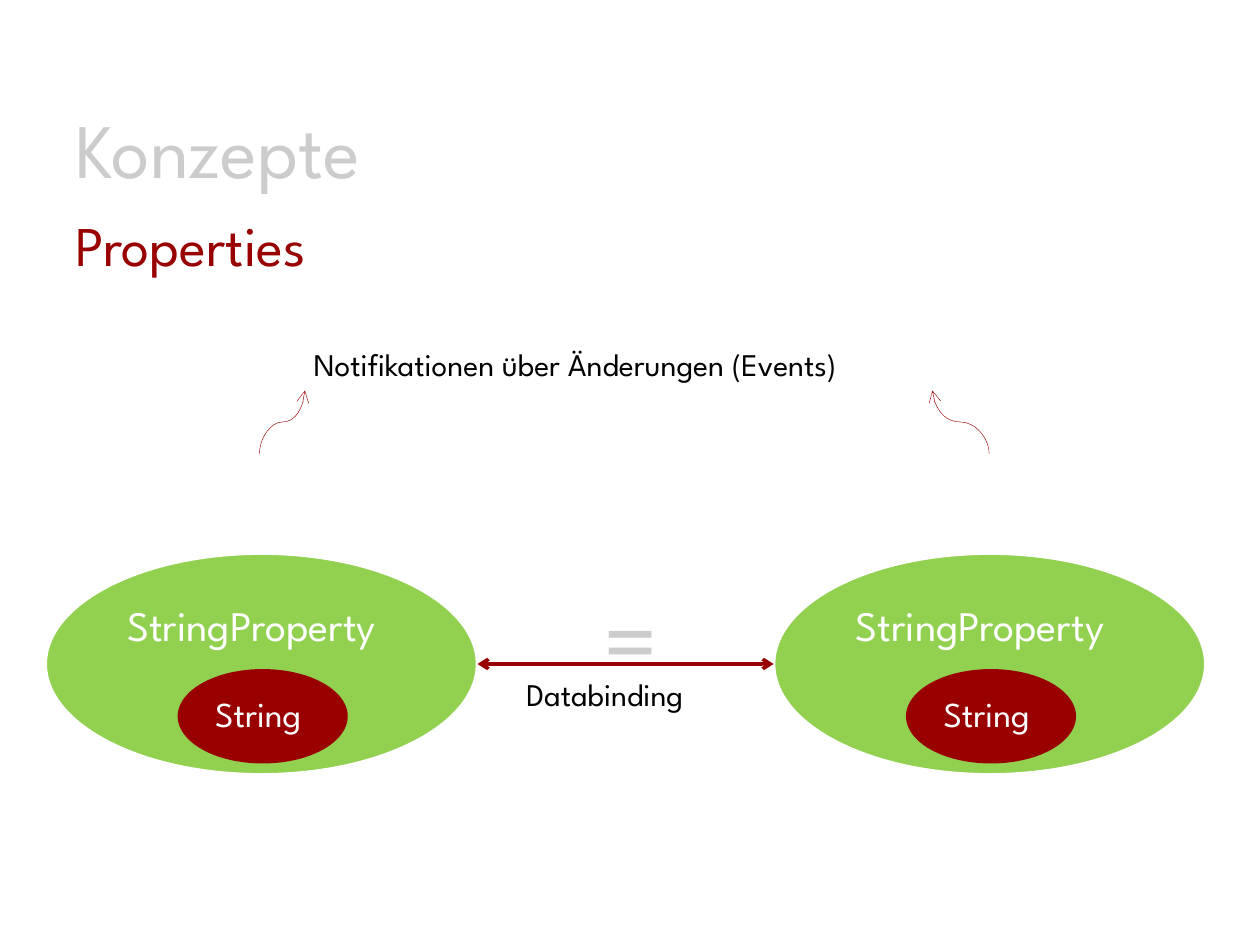
from dataclasses import dataclass

from lxml import etree
from pptx import Presentation
from pptx.dml.color import RGBColor
from pptx.enum.shapes import MSO_CONNECTOR, MSO_SHAPE
from pptx.enum.text import MSO_ANCHOR, MSO_AUTO_SIZE
from pptx.oxml.ns import qn
from pptx.util import Inches, Pt

OVAL = MSO_SHAPE.OVAL
STRAIGHT = MSO_CONNECTOR.STRAIGHT
CURVE = MSO_CONNECTOR.CURVE
TOP = MSO_ANCHOR.TOP
BOTTOM = MSO_ANCHOR.BOTTOM
FIT_SHAPE = MSO_AUTO_SIZE.SHAPE_TO_FIT_TEXT
NO_FIT = MSO_AUTO_SIZE.NONE


@dataclass(frozen=True)
class Theme:
    """Colours, fonts and type sizes of the slide."""

    red: str = "990000"
    green: str = "92D050"
    grey: str = "CCCCCC"
    white: str = "FFFFFF"
    black: str = "000000"
    font: str = "League Spartan"
    symbol_font: str = "Calibri"
    heading: int = 44
    subheading: int = 32
    property: int = 24
    value: int = 20
    label: int = 18
    symbol: int = 60


@dataclass(frozen=True)
class Box:
    """A rectangle in inches."""

    left: float
    top: float
    width: float
    height: float

    def lengths(self) -> tuple:
        """Return the four sides as slide lengths."""
        return tuple(Inches(side) for side in (self.left, self.top, self.width, self.height))


@dataclass(frozen=True)
class EventArrow:
    """A curved arrow that leaves and arrives vertically."""

    start: tuple[float, float]
    end: tuple[float, float]
    rotation: int


THEME = Theme()
PROPERTY_LEFTS = (0.36, 6.14)
PROPERTY_WIDTH = 3.43
BINDING_Y = 5.27
EVENT_ARROWS = (
    EventArrow((2.06, 3.6), (2.42, 3.1), 90),
    EventArrow((7.85, 3.6), (7.4, 3.1), 270),
)


def add_text(shapes, text: str, box: Box, *, size: int, color: str,
             font: str = THEME.font, wrap: bool = False, anchor=TOP) -> None:
    """Add a text box holding one formatted paragraph."""
    frame = shapes.add_textbox(*box.lengths()).text_frame
    frame.word_wrap = wrap
    frame.auto_size = NO_FIT if wrap else FIT_SHAPE
    frame.vertical_anchor = anchor
    paragraph = frame.paragraphs[0]
    run = paragraph.add_run()
    run.text = text
    run.font.name = font
    run.font.size = Pt(size)
    run.font.color.rgb = RGBColor.from_string(color)


def add_ellipse(shapes, box: Box, fill: str, outline: str | None = None) -> None:
    """Add a filled ellipse with an optional outline."""
    shape = shapes.add_shape(OVAL, *box.lengths())
    shape.shadow.inherit = False
    shape.fill.solid()
    shape.fill.fore_color.rgb = RGBColor.from_string(fill)
    if outline:
        shape.line.color.rgb = RGBColor.from_string(outline)
        shape.line.width = Pt(2)
    else:
        shape.line.fill.background()


def add_arrow(shapes, kind, start: tuple[float, float], end: tuple[float, float],
              width: float, ends: tuple[str, ...]):
    """Add a red connector with open arrowheads at the named ends."""
    points = [Inches(value) for value in (*start, *end)]
    connector = shapes.add_connector(kind, *points)
    connector.line.color.rgb = RGBColor.from_string(THEME.red)
    connector.line.width = Pt(width)
    line = connector.line._get_or_add_ln()
    for name in ends:
        etree.SubElement(line, qn(f"a:{name}"), type="arrow")
    etree.SubElement(connector._element.spPr, qn("a:effectLst"))
    return connector


def add_event_arrow(shapes, arrow: EventArrow) -> None:
    """Add a curved connector turned about its centre to run vertically."""
    (start_x, start_y), (end_x, end_y) = arrow.start, arrow.end
    center_x, center_y = (start_x + end_x) / 2, (start_y + end_y) / 2
    turn = 1 if arrow.rotation == 90 else -1
    offset_x, offset_y = turn * (start_y - center_y), turn * (center_x - start_x)
    connector = add_arrow(
        shapes, CURVE, (center_x + offset_x, center_y + offset_y),
        (center_x - offset_x, center_y - offset_y), 0.25, ("tailEnd",))
    connector._element.spPr.find(qn("a:xfrm")).set("rot", str(arrow.rotation * 60000))


def add_property(shapes, left: float) -> None:
    """Add a property ellipse that encloses its value."""
    group = shapes.add_group_shape().shapes
    add_ellipse(group, Box(left, 4.39, PROPERTY_WIDTH, 1.76), THEME.green, THEME.white)
    add_text(group, "StringProperty", Box(left + 0.55, 4.71, 2.45, 0.5),
             size=THEME.property, color=THEME.white)
    value = group.add_group_shape().shapes
    add_ellipse(value, Box(left + 1.05, 5.31, 1.35, 0.75), THEME.red)
    add_text(value, "String", Box(left + 1.25, 5.45, 0.94, 0.44),
             size=THEME.value, color=THEME.white)


def main() -> None:
    """Build and save the slide."""
    presentation = Presentation()
    presentation.slide_width, presentation.slide_height = Inches(10), Inches(7.5)
    slide = presentation.slides.add_slide(presentation.slide_layouts[6])
    shapes = slide.shapes
    add_text(shapes, "Properties", Box(0.5, 1.65, 7.12, 0.6),
             size=THEME.subheading, color=THEME.red, wrap=True, anchor=BOTTOM)
    add_text(shapes, "Konzepte", Box(0.5, 0.76, 7.12, 0.8),
             size=THEME.heading, color=THEME.grey, wrap=True)
    add_text(shapes, "Notifikationen über Änderungen (Events)", Box(2.39, 2.69, 5.19, 0.4),
             size=THEME.label, color=THEME.black)
    for left in PROPERTY_LEFTS:
        add_property(shapes, left)
    add_arrow(shapes, STRAIGHT, (PROPERTY_LEFTS[0] + PROPERTY_WIDTH, BINDING_Y),
              (PROPERTY_LEFTS[1], BINDING_Y), 2, ("headEnd", "tailEnd"))
    add_text(shapes, "Databinding", Box(4.08, 5.31, 1.74, 0.4),
             size=THEME.label, color=THEME.black)
    add_text(shapes, "=", Box(4.7, 4.49, 0.52, 1.11),
             size=THEME.symbol, color=THEME.grey, font=THEME.symbol_font)
    for arrow in EVENT_ARROWS:
        add_event_arrow(shapes, arrow)
    presentation.save("out.pptx")


if __name__ == "__main__":
    main()
